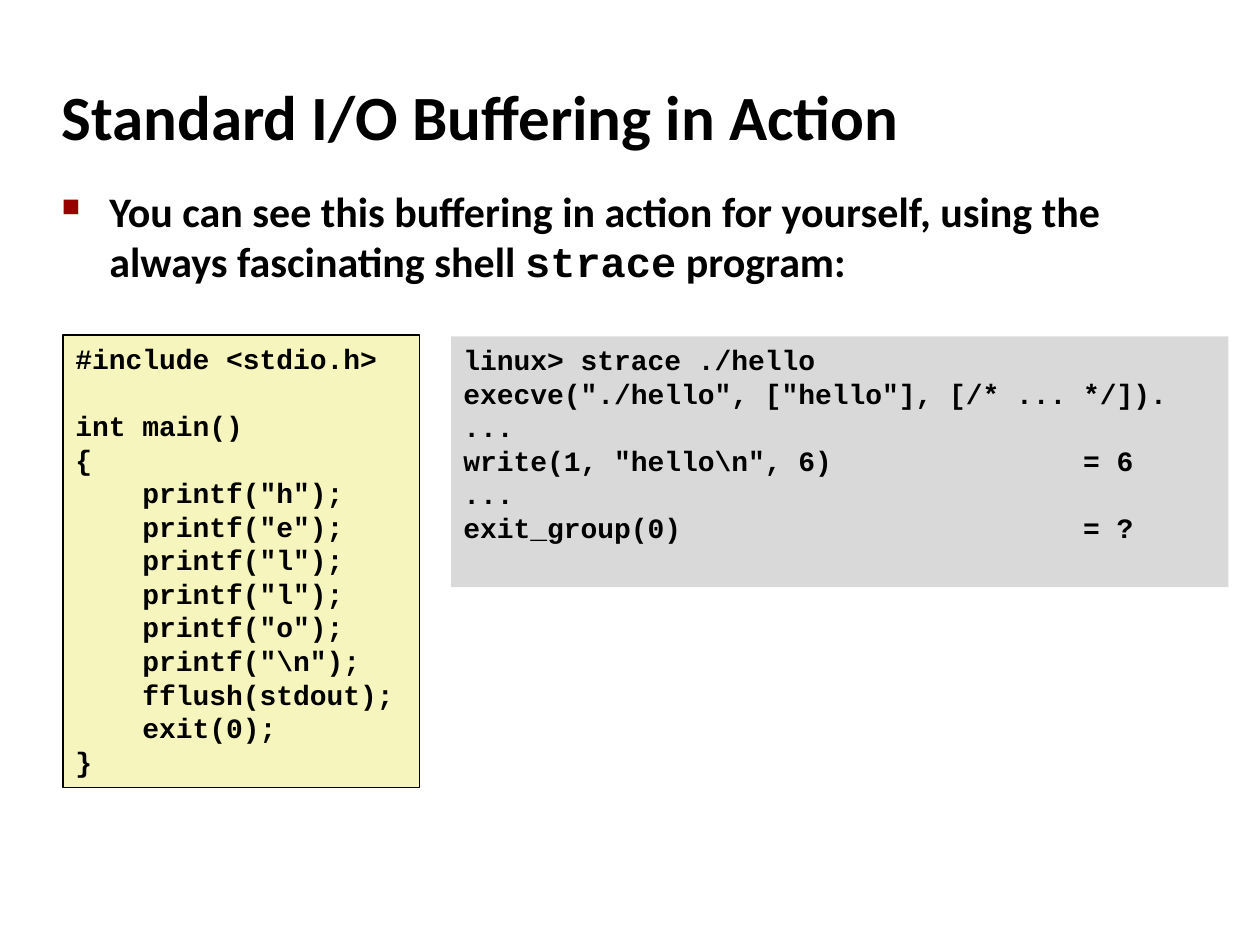
from dataclasses import dataclass

from lxml.etree import SubElement
from pptx import Presentation
from pptx.dml.color import RGBColor
from pptx.enum.shapes import MSO_SHAPE
from pptx.enum.text import MSO_ANCHOR, MSO_AUTO_SIZE, PP_ALIGN
from pptx.oxml.ns import qn
from pptx.util import Inches, Pt


@dataclass(frozen=True)
class Theme:
    ink: str = "000000"
    bullet: str = "990000"
    source_fill: str = "F6F5BD"
    trace_fill: str = "D9D9D9"
    prose_font: str = "Calibri"
    code_font: str = "Courier New"
    title_size: int = 36
    body_size: int = 24
    code_size: int = 16


SOURCE = r'''#include <stdio.h>

int main()
{
    printf("h");
    printf("e");
    printf("l");
    printf("l");
    printf("o");
    printf("\n");
    fflush(stdout);
    exit(0);
}'''

TRACE = r'''linux> strace ./hello
execve("./hello", ["hello"], [/* ... */]).
...
write(1, "hello\n", 6)               = 6
...
exit_group(0)                        = ?'''


def write_text(paragraph, text, *, font, size, color, bold=True):
    run = paragraph.add_run()
    run.text = text
    run.font.name = font
    run.font.size = Pt(size)
    run.font.bold = bold
    run.font.color.rgb = RGBColor.from_string(color)


class SlideBuilder:
    def __init__(self, slide, theme):
        self.slide = slide
        self.theme = theme

    def title(self, text, left, top, width, height):
        heading = self.slide.shapes.title
        heading.left, heading.top = Inches(left), Inches(top)
        heading.width, heading.height = Inches(width), Inches(height)
        frame = heading.text_frame
        frame.auto_size = MSO_AUTO_SIZE.NONE
        frame.vertical_anchor = MSO_ANCHOR.MIDDLE
        paragraph = frame.paragraphs[0]
        paragraph.alignment = PP_ALIGN.LEFT
        write_text(paragraph, text, font=self.theme.prose_font,
                   size=self.theme.title_size, color=self.theme.ink)

    def bullet(self, pieces, left, top, width, height, indent=0.38):
        body = self.slide.shapes.add_textbox(
            Inches(left), Inches(top), Inches(width), Inches(height))
        body.text_frame.word_wrap = True
        paragraph = body.text_frame.paragraphs[0]
        properties = paragraph._p.get_or_add_pPr()
        properties.set("marL", str(Inches(indent)))
        properties.set("indent", str(-Inches(indent)))
        bullet_color = SubElement(properties, qn("a:buClr"))
        SubElement(bullet_color, qn("a:srgbClr"), val=self.theme.bullet)
        SubElement(properties, qn("a:buSzPct"), val="60000")
        SubElement(properties, qn("a:buChar"), char="■")
        for text, font in pieces:
            write_text(paragraph, text, font=font,
                       size=self.theme.body_size, color=self.theme.ink)

    def code_panel(self, code, left, top, width, height, fill, outlined=False):
        panel = self.slide.shapes.add_shape(
            MSO_SHAPE.RECTANGLE,
            Inches(left), Inches(top), Inches(width), Inches(height))
        panel.shadow.inherit = False
        panel.fill.solid()
        panel.fill.fore_color.rgb = RGBColor.from_string(fill)
        if outlined:
            panel.line.color.rgb = RGBColor.from_string(self.theme.ink)
            panel.line.width = Pt(1)
        else:
            panel.line.fill.background()
        frame = panel.text_frame
        frame.word_wrap = False
        frame.vertical_anchor = MSO_ANCHOR.TOP
        for number, line in enumerate(code.splitlines()):
            paragraph = frame.add_paragraph() if number else frame.paragraphs[0]
            paragraph.alignment = PP_ALIGN.LEFT
            write_text(paragraph, line, font=self.theme.code_font,
                       size=self.theme.code_size, color=self.theme.ink)


def main():
    presentation = Presentation()
    presentation.slide_width = Inches(10)
    presentation.slide_height = Inches(7.5)
    theme = Theme()
    title_only = presentation.slide_layouts[5]
    builder = SlideBuilder(presentation.slides.add_slide(title_only), theme)

    builder.title("Standard I/O Buffering in Action", 0.39, 0.5, 8.3, 0.83)
    builder.bullet(
        [("You can see this buffering in action for yourself, using the "
          "always fascinating shell ", theme.prose_font),
         ("strace", theme.code_font),
         (" program:", theme.prose_font)],
        0.39, 1.42, 8.64, 5.44)
    builder.code_panel(TRACE, 3.58, 2.67, 6.17, 1.99, theme.trace_fill)
    builder.code_panel(SOURCE, 0.5, 2.66, 2.83, 3.59, theme.source_fill,
                       outlined=True)
    presentation.save("out.pptx")


if __name__ == "__main__":
    main()
